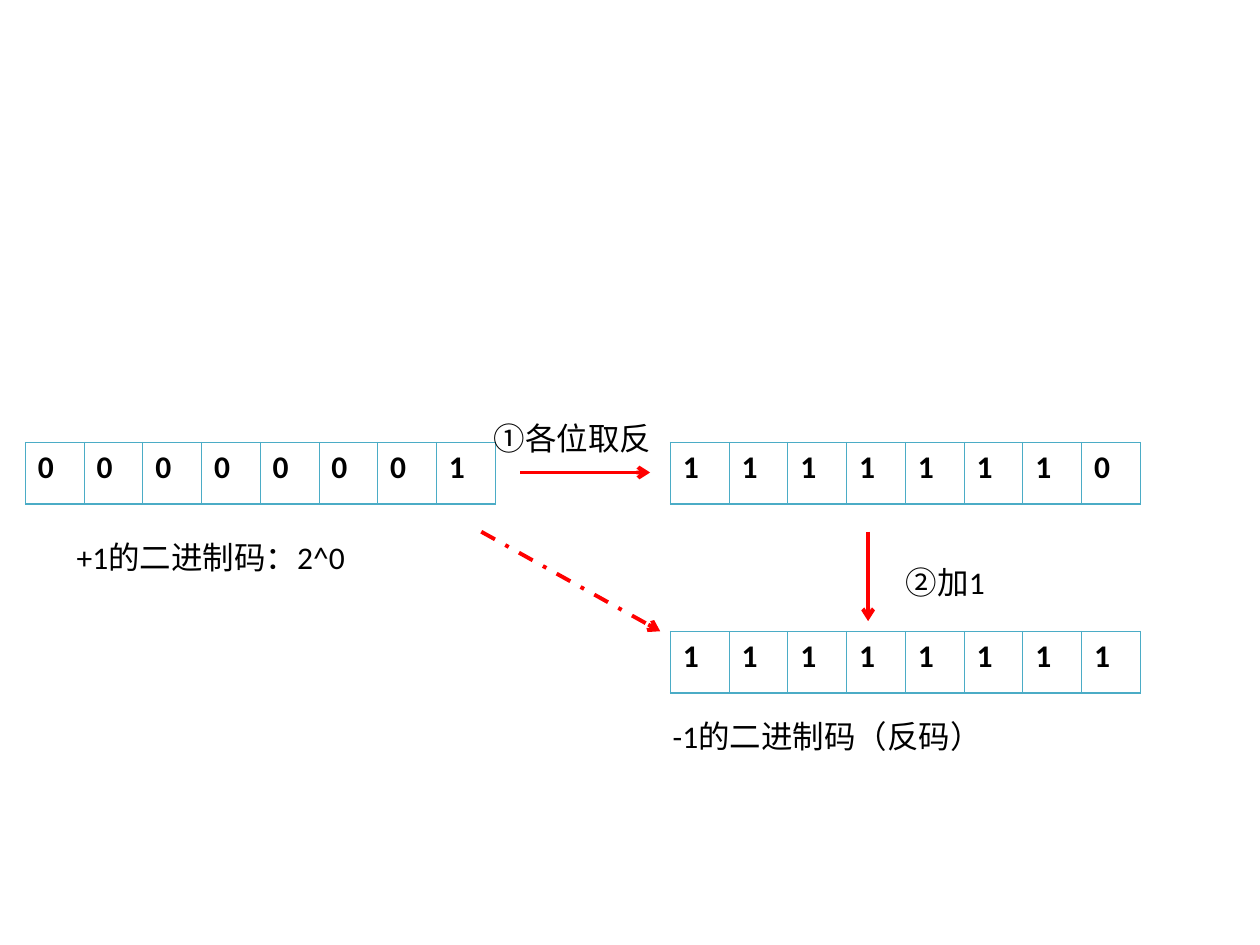
"""Build a slide showing how -1 is derived in binary from +1."""
from dataclasses import dataclass

from lxml import etree
from pptx import Presentation
from pptx.dml.color import RGBColor
from pptx.enum.dml import MSO_LINE
from pptx.enum.shapes import MSO_CONNECTOR
from pptx.oxml.ns import qn
from pptx.slide import Slide
from pptx.table import _Cell
from pptx.text.text import TextFrame
from pptx.util import Inches, Pt

STRAIGHT = MSO_CONNECTOR.STRAIGHT
SOLID = MSO_LINE.SOLID
DASH_DOT = MSO_LINE.DASH_DOT
BLACK = RGBColor(0x00, 0x00, 0x00)
RED = RGBColor(0xFF, 0x00, 0x00)
TEAL = RGBColor(0x4B, 0xAC, 0xC6)
SLIDE_WIDTH, SLIDE_HEIGHT = Inches(10), Inches(7.5)
FONT_NAME, FONT_SIZE = "Calibri", Pt(18)
BORDERS = {"a:lnL": Pt(0.45), "a:lnR": Pt(0.45), "a:lnT": Pt(0.45), "a:lnB": Pt(0.96)}
REGISTER_WIDTH, REGISTER_HEIGHT = 37.3, 6.53
LABEL_HEIGHT = 5.33
LEFT_REGISTER, RIGHT_REGISTER = 2, 53.2
UPPER_ROW, LOWER_ROW = 46.8, 66.8
ARROW_START_ROW = 56.27


@dataclass(frozen=True)
class Register:
    """A row of bits placed by percentages of the slide size."""
    bits: str
    left: float
    top: float


@dataclass(frozen=True)
class Label:
    """A line of text placed by percentages of the slide size."""
    text: str
    left: float
    top: float
    width: float


@dataclass(frozen=True)
class Arrow:
    """An arrow between two points in percentages of the slide size."""
    start: tuple[float, float]
    end: tuple[float, float]
    dash: MSO_LINE = SOLID


REGISTERS = (
    Register("00000001", LEFT_REGISTER, UPPER_ROW),
    Register("11111110", RIGHT_REGISTER, UPPER_ROW),
    Register("11111111", RIGHT_REGISTER, LOWER_ROW),
)
LABELS = (
    Label("①各位取反", 38.2, 43.73, 15.7),
    Label("+1的二进制码：2^0", 5.1, 56.27, 30.7),
    Label("-1的二进制码（反码）", 52.4, 75.2, 37),
    Label("②加1", 70.9, 58.93, 12.2),
)
ARROWS = (
    Arrow((41.3, 50), (51.6, 50)),
    Arrow((38.2, ARROW_START_ROW), (52.4, LOWER_ROW), DASH_DOT),
    Arrow((68.9, ARROW_START_ROW), (68.9, 65.73)),
)


def across(percent: float) -> int:
    """Return a percentage of the slide width."""
    return round(SLIDE_WIDTH * percent / 100)


def down(percent: float) -> int:
    """Return a percentage of the slide height."""
    return round(SLIDE_HEIGHT * percent / 100)


def write_text(text_frame: TextFrame, text: str, bold: bool = False) -> None:
    """Fill a text frame and format its run."""
    text_frame.text = text
    font = text_frame.paragraphs[0].runs[0].font
    font.name, font.size, font.bold = FONT_NAME, FONT_SIZE, bold
    font.color.rgb = BLACK


def add_borders(cell: _Cell) -> None:
    """Outline a cell on all four sides."""
    properties = cell._tc.get_or_add_tcPr()
    for tag, width in BORDERS.items():
        border = etree.SubElement(properties, qn(tag), w=str(int(width)))
        fill = etree.SubElement(border, qn("a:solidFill"))
        etree.SubElement(fill, qn("a:srgbClr"), val=str(TEAL))


def draw_register(slide: Slide, register: Register) -> None:
    """Draw a row of bits as a one-row table."""
    count = len(register.bits)
    table = slide.shapes.add_table(
        1, count, across(register.left), down(register.top),
        across(REGISTER_WIDTH), down(REGISTER_HEIGHT),
    ).table
    table.first_row = table.horz_banding = False
    for column, bit in enumerate(register.bits):
        cell = table.cell(0, column)
        write_text(cell.text_frame, bit, bold=True)
        add_borders(cell)
        cell.fill.background()


def draw_label(slide: Slide, label: Label) -> None:
    """Draw a line of explanatory text."""
    shape = slide.shapes.add_textbox(
        across(label.left), down(label.top), across(label.width), down(LABEL_HEIGHT)
    )
    shape.text_frame.word_wrap = True
    write_text(shape.text_frame, label.text)


def draw_arrow(slide: Slide, arrow: Arrow) -> None:
    """Draw a red arrow with an open head."""
    (start_x, start_y), (end_x, end_y) = arrow.start, arrow.end
    connector = slide.shapes.add_connector(
        STRAIGHT, across(start_x), down(start_y), across(end_x), down(end_y)
    )
    connector.line.color.rgb = RED
    connector.line.width = Pt(2.25)
    connector.line.dash_style = arrow.dash
    etree.SubElement(connector.line._get_or_add_ln(), qn("a:tailEnd"), type="arrow")
    etree.SubElement(connector._element.spPr, qn("a:effectLst"))


def main() -> None:
    """Create and save the presentation."""
    presentation = Presentation()
    presentation.slide_width, presentation.slide_height = SLIDE_WIDTH, SLIDE_HEIGHT
    slide = presentation.slides.add_slide(presentation.slide_layouts[6])
    for register in REGISTERS:
        draw_register(slide, register)
    for arrow in ARROWS:
        draw_arrow(slide, arrow)
    for label in LABELS:
        draw_label(slide, label)
    presentation.save("out.pptx")


if __name__ == "__main__":
    main()
